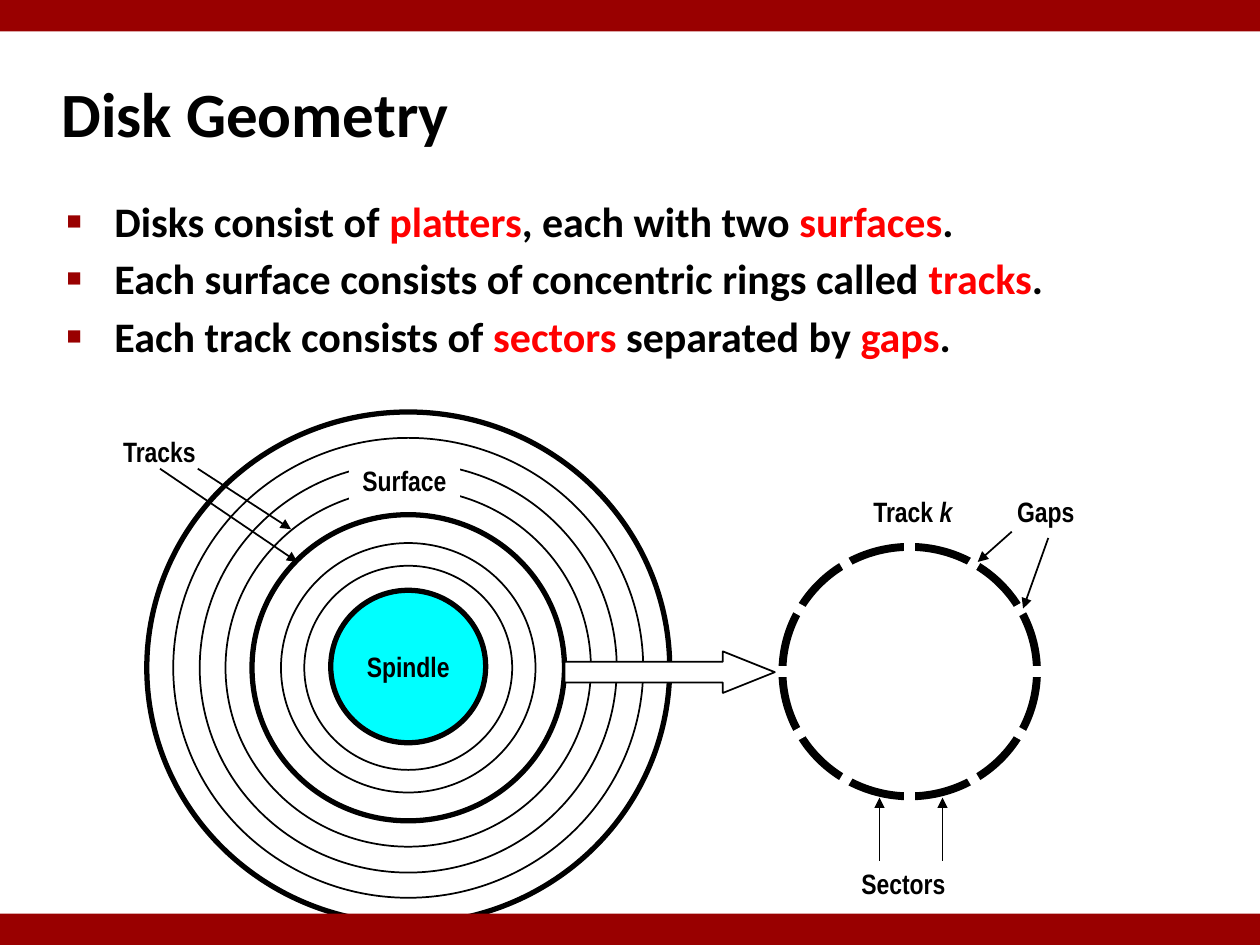
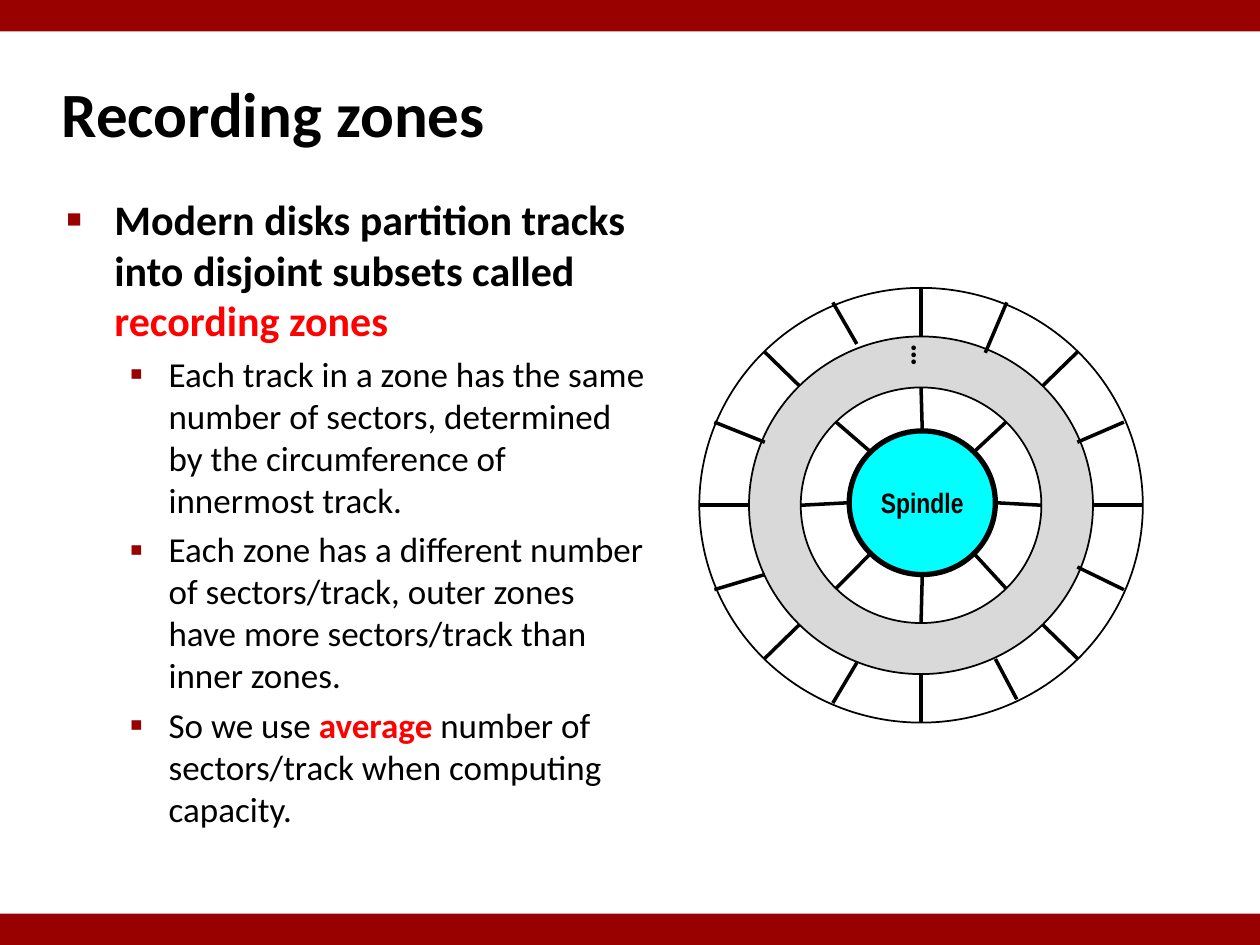
from math import cos, radians, sin

from pptx import Presentation
from pptx import util as u
from pptx.dml.color import RGBColor
from pptx.enum import shapes, text
from pptx.oxml.ns import qn
from lxml import etree

PX = 9144  # EMU in one px: 100 px to the inch
BLACK, WHITE, RED = "000000", "FFFFFF", "FF0000"
BAND, CYAN, GREY = "990000", "00FFFF", "D9D9D9"
BODY, LABEL = "Calibri", "Arial Narrow"
OVAL, RECT = shapes.MSO_SHAPE.OVAL, shapes.MSO_SHAPE.RECTANGLE
# Per level: text indent, hanging, bullet, bullet size %, font size, bold
LEVELS = [(38, 38, "■", 60, 24, True), (81, 31, "▪", 110, 20, False)]


def px(*vals):
    return [u.Emu(round(v * PX)) for v in vals]


def rgb(code):
    return RGBColor.from_string(code)


def sub(node, tag, **attrs):
    return etree.SubElement(node, qn(tag), attrs)


def add_run(para, words, size, font=BODY, color=BLACK, bold=True, slant=None):
    run = para.add_run()
    run.text = words
    f = run.font
    f.size, f.name, f.bold, f.italic = u.Pt(size), font, bold, slant
    f.color.rgb = rgb(color)


def add_box(slide, box, anchor=text.MSO_ANCHOR.TOP, wrap=True):
    frame = slide.shapes.add_textbox(*px(*box)).text_frame
    frame.word_wrap, frame.vertical_anchor = wrap, anchor
    return frame


def add_form(slide, kind, box, fill=None, line=None, width=1):
    form = slide.shapes.add_shape(kind, *px(*box))
    form.shadow.inherit = False
    if fill:
        form.fill.solid()
        form.fill.fore_color.rgb = rgb(fill)
    else:
        form.fill.background()
    if line:
        form.line.color.rgb = rgb(line)
        form.line.width = u.Pt(width)
    else:
        form.line.fill.background()
    return form


def add_ring(slide, mid, size, width=1, fill=None):
    (x, y), (w, h) = mid, size
    return add_form(slide, OVAL, (x - w / 2, y - h / 2, w, h), fill, BLACK, width)


def add_line(slide, ends, width=1, color=BLACK, arrow=False):
    link = slide.shapes.add_connector(shapes.MSO_CONNECTOR.STRAIGHT, *px(*ends))
    link.line.color.rgb = rgb(color)
    link.line.width = u.Pt(width)
    if arrow:
        sub(link.line._get_or_add_ln(), "a:tailEnd", type="triangle")
    sub(link._element.spPr, "a:effectLst")


def add_label(frame, *runs):
    frame.word_wrap = False
    para = frame.paragraphs[0]
    para.alignment = text.PP_ALIGN.CENTER
    for words, slant in runs:
        add_run(para, words, 16, LABEL, slant=slant)


def add_tag(slide, box, *runs):
    add_label(add_box(slide, box), *runs)


def add_hub(slide, mid, size):
    hub = add_ring(slide, mid, size, 3, CYAN)
    hub.text_frame.vertical_anchor = text.MSO_ANCHOR.MIDDLE
    add_label(hub.text_frame, ("Spindle", None))


def rim(mid, size, angle):
    """Point of an ellipse at an angle in degrees, clockwise from the right."""
    a = radians(angle)
    return mid[0] + size[0] / 2 * cos(a), mid[1] + size[1] / 2 * sin(a)


def add_title(slide, words):
    frame = add_box(slide, (39, 48, 830, 83), text.MSO_ANCHOR.MIDDLE)
    add_run(frame.paragraphs[0], words, 36)


def add_list(slide, box, items):
    """Each item is a level and its runs; a run is its words and if it is key."""
    frame = add_box(slide, box)
    for i, (level, runs) in enumerate(items):
        left, hang, mark, scale, size, bold = LEVELS[level]
        para = frame.add_paragraph() if i else frame.paragraphs[0]
        if i:
            para.space_before = u.Pt(4.2)
        props = para._p.get_or_add_pPr()
        props.set("marL", str(left * PX))
        props.set("indent", str(-hang * PX))
        sub(sub(props, "a:buClr"), "a:srgbClr", val=BAND)
        sub(props, "a:buSzPct", val=str(scale * 1000))
        sub(props, "a:buFont", typeface="Arial")
        sub(props, "a:buChar", char=mark)
        for words, key in runs:
            add_run(para, words, size, color=RED if key else BLACK,
                    bold=bold or key)


def add_bands(slide):
    for top in (0, 725):
        add_form(slide, RECT, (0, top, 1000, 25), BAND)


# Platter seen from above, in a 415 x 406 box
def add_platter(slide, x, y):
    mid = x + 207, y + 203
    rings = [(415, 406, 3), (373, 365, 1), (331, 325, 1), (290, 284, 1),
             (248, 243, 3), (202, 198, 1), (165, 162, 1)]
    for w, h, width in rings:
        add_ring(slide, mid, (w, h), width)
    add_hub(slide, (mid[0], mid[1] - 1), (123, 121))
    plate = add_form(slide, RECT, (x + 160, y + 36, 88, 37), WHITE)
    add_label(plate.text_frame, ("Surface", None))
    for ends in ((10, 45, 119, 119), (40, 45, 114, 93)):
        add_line(slide, [e + o for e, o in zip(ends, (x, y, x, y))], arrow=True)
    add_tag(slide, (x - 30, y + 13, 79, 37), ("Tracks", None))


# One track cut into sectors, in a 202 x 198 box
def add_track(slide, x, y):
    mid = x + 101, y + 99
    add_ring(slide, mid, (202, 198), 4.5)
    for angle in range(0, 360, 30):
        add_line(slide, (*mid, *rim(mid, (232, 226), angle)), 6, WHITE)
    add_tag(slide, (x + 60, y - 46, 87, 37), ("Track ", None), ("k", True))
    add_tag(slide, (x + 176, y - 46, 66, 37), ("Gaps", None))
    add_tag(slide, (x + 52, y + 249, 88, 37), ("Sectors", None))
    arrows = [(77, 249, 77, 199), (127, 249, 127, 199),
              (182, -12, 155, 12), (211, -7, 191, 49)]
    for ends in arrows:
        add_line(slide, [e + o for e, o in zip(ends, (x, y, x, y))], arrow=True)


# Disk with an inner and an outer zone, in a 352 x 345 box
def add_zones(slide, x, y):
    mid = x + 176, y + 172
    core = mid[0] + 1, mid[1] - 2
    outer, belt, inner, hub = (352, 345), (273, 268), (191, 187), (116, 114)
    add_ring(slide, mid, belt, fill=GREY)
    add_ring(slide, mid, inner, fill=WHITE)
    add_ring(slide, mid, outer)
    add_hub(slide, core, hub)
    for angle in range(0, 360, 45):
        add_line(slide, (*rim(mid, inner, angle), *rim(core, hub, angle)), 2)
        add_line(slide, (*rim(mid, outer, angle), *rim(mid, belt, angle)), 2)
    # Sector marks between the main spokes, uneven by design
    marks = [(244, 11, 227, 51), (300, 122, 337, 106), (300, 221, 337, 239),
             (235, 294, 252, 326), (125, 297, 106, 329), (12, 239, 52, 227),
             (12, 106, 52, 122), (106, 11, 125, 44)]
    for ends in marks:
        add_line(slide, [e + o for e, o in zip(ends, (x, y, x, y))], 2)
    dots = add_box(slide, (x + 142, y + 44, 50, 28), wrap=False)
    dots._txBody.bodyPr.set("vert", "vert270")
    add_run(dots.paragraphs[0], "…", 18)


def add_geometry(slide):
    add_title(slide, "Disk Geometry")
    add_list(slide, (43, 150, 864, 544), [
        (0, [("Disks consist of ", False), ("platters", True),
             (", each with two ", False), ("surfaces", True), (".", False)]),
        (0, [("Each surface consists of concentric rings called ", False),
             ("tracks", True), (".", False)]),
        (0, [("Each track consists of ", False), ("sectors", True),
             (" separated by ", False), ("gaps", True), (".", False)])])
    add_platter(slide, 117, 327)
    add_track(slide, 621, 434)
    arrow = add_form(slide, shapes.MSO_SHAPE.RIGHT_ARROW, (448, 517, 167, 33),
                     WHITE, BLACK)
    arrow.adjustments[0], arrow.adjustments[1] = 0.5, 1.25
    add_bands(slide)


def add_recording(slide):
    add_title(slide, "Recording zones")
    add_list(slide, (43, 149, 483, 554), [
        (0, [("Modern disks partition tracks into disjoint subsets called ",
              False), ("recording zones", True)]),
        (1, [("Each track in a zone has the same number of sectors, determined "
              "by the circumference of innermost track.", False)]),
        (1, [("Each zone has a different number of sectors/track, outer zones "
              "have more sectors/track than inner zones.", False)]),
        (1, [("So we use ", False), ("average", True),
             (" number of sectors/track when computing capacity.", False)])])
    add_zones(slide, 555, 229)
    add_bands(slide)


def main():
    deck = Presentation()
    deck.slide_width, deck.slide_height = px(1000, 750)
    for build in (add_geometry, add_recording):
        build(deck.slides.add_slide(deck.slide_layouts[6]))
    deck.save("out.pptx")


if __name__ == "__main__":
    main()
